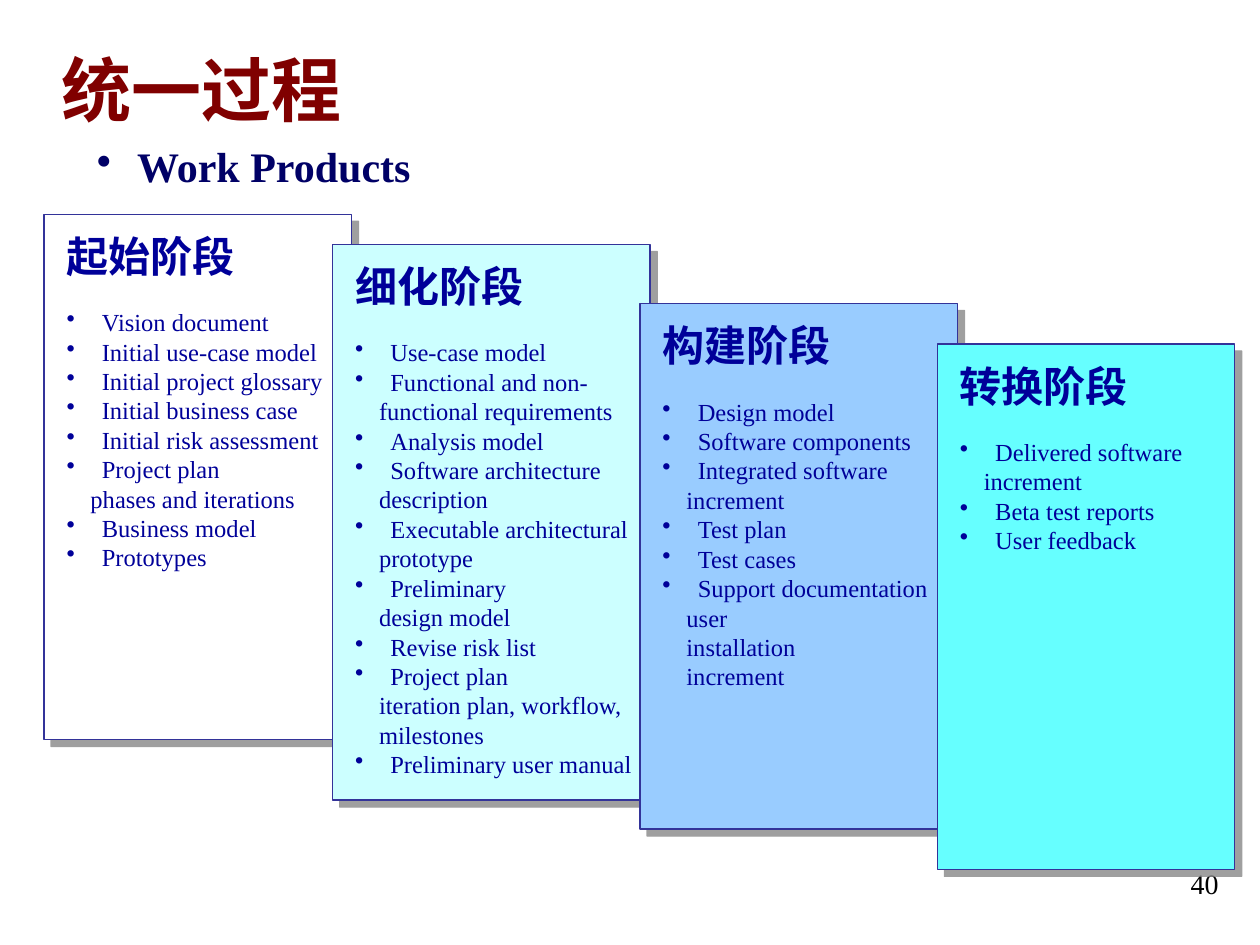
from lxml import etree
from pptx import Presentation
from pptx.dml.color import RGBColor
from pptx.enum import shapes, text
from pptx.oxml import ns
from pptx.util import Inches, Pt

FACE = "Times New Roman"
WHITE = RGBColor(0xFF, 0xFF, 0xFF)
BLACK = RGBColor(0, 0, 0)
MAROON = RGBColor(0x80, 0, 0)
NAVY = RGBColor(0, 0, 0x66)
INK = RGBColor(0, 0, 0x99)
EDGE = RGBColor(0x33, 0x33, 0x99)
SHADE = RGBColor(0x80, 0x80, 0x80)
PALE = RGBColor(0xCC, 0xFF, 0xFF)
SKY = RGBColor(0x99, 0xCC, 0xFF)
AQUA = RGBColor(0x66, 0xFF, 0xFF)

HEAD = {"size": Pt(24), "bold": True, "color": INK}
BODY = {"size": Pt(14), "bold": False, "color": INK}
PHASES = [
    ("起始阶段", WHITE, (0.35, 1.7, 2.44, 4.17), [
        "Vision document", "Initial use-case model", "Initial project glossary",
        "Initial business case", "Initial risk assessment",
        "Project plan|phases and iterations", "Business model", "Prototypes"]),
    ("细化阶段", PALE, (2.64, 1.94, 2.52, 4.41), [
        "Use-case model", "Functional and non-|functional requirements",
        "Analysis model", "Software architecture|description",
        "Executable architectural|prototype", "Preliminary|design model",
        "Revise risk list", "Project plan|iteration plan, workflow,|milestones",
        "Preliminary user manual"]),
    ("构建阶段", SKY, (5.08, 2.41, 2.52, 4.17), [
        "Design model", "Software components", "Integrated software|increment",
        "Test plan", "Test cases",
        "Support documentation|user|installation|increment"]),
    ("转换阶段", AQUA, (7.44, 2.73, 2.36, 4.17), [
        "Delivered software|increment", "Beta test reports", "User feedback"]),
]


def add_sub(parent, tag, **attrs):
    node = etree.SubElement(parent, ns.qn(tag))
    for key, value in attrs.items():
        node.set(key, str(value))
    return node


def style(para, look):
    font = para.font
    font.name = FACE
    for key, value in look.items():
        if key == "color":
            font.color.rgb = value
        else:
            setattr(font, key, value)


def indent(para, left, color=None):
    props = para._p.get_or_add_pPr()
    props.set("marL", str(Inches(left)))
    if color is not None:
        props.set("indent", str(-Inches(left)))
        add_sub(add_sub(props, "a:buClr"), "a:srgbClr", val=color)
        add_sub(props, "a:buChar", char="•")


def add_text(parent, box, words, look, anchor=text.MSO_ANCHOR.TOP):
    frame = parent.add_textbox(*map(Inches, box)).text_frame
    frame.word_wrap = True
    frame.vertical_anchor = anchor
    para = frame.paragraphs[0]
    para.text = words
    style(para, look)
    return frame


def add_shade(shape):
    effects = add_sub(shape._element.spPr, "a:effectLst")
    shade = add_sub(effects, "a:outerShdw", dist=Pt(5.7), dir=45 * 60000,
                    algn="ctr", rotWithShape=0)
    color = add_sub(shade, "a:srgbClr", val=SHADE)
    add_sub(color, "a:alpha", val=75000)


def add_card(parent, box, fill):
    card = parent.add_shape(shapes.MSO_SHAPE.RECTANGLE, *map(Inches, box))
    card.fill.solid()
    card.fill.fore_color.rgb = fill
    card.line.color.rgb = EDGE
    card.line.width = Pt(0.75)
    add_shade(card)


def add_phase(slide, box, name, fill, items):
    group = slide.shapes.add_group_shape().shapes
    add_card(group, box, fill)
    left, top, width, height = box
    pad = 0.08
    inner = (left + pad, top + pad, width - pad, height - 2 * pad)
    frame = add_text(group, inner, name, HEAD)
    frame.paragraphs[0].space_after = Pt(15)
    for item in items:
        for row, words in enumerate(item.split("|")):
            para = frame.add_paragraph()
            para.text = words
            if row:
                indent(para, 0.19)
            else:
                indent(para, 0.28, INK)
            style(para, BODY)


def add_top(slide, box):
    left, top, width, height = box
    add_text(slide.shapes, (left, top, width, 0.77), "统一过程",
             {"size": Pt(40), "bold": True, "color": MAROON},
             text.MSO_ANCHOR.MIDDLE)
    frame = add_text(slide.shapes, (left + 0.28, top + 0.75, 4.65, 0.5),
                     "", {})
    para = frame.paragraphs[0]
    para.text = "Work Products"
    indent(para, 0.32, NAVY)
    style(para, {"size": Pt(24), "bold": True, "color": NAVY})


def add_page(slide, box):
    frame = add_text(slide.shapes, box, "40", {"size": Pt(16), "color": BLACK})
    frame.paragraphs[0].alignment = text.PP_ALIGN.RIGHT


def main():
    deck = Presentation()
    deck.slide_width, deck.slide_height = Inches(10), Inches(7.5)
    slide = deck.slides.add_slide(deck.slide_layouts[6])
    add_top(slide, (0.39, 0.32, 9, 1.25))
    add_page(slide, (7.44, 6.83, 2.33, 0.52))
    for name, fill, box, items in PHASES:
        add_phase(slide, box, name, fill, items)
    deck.save("out.pptx")


if __name__ == "__main__":
    main()
